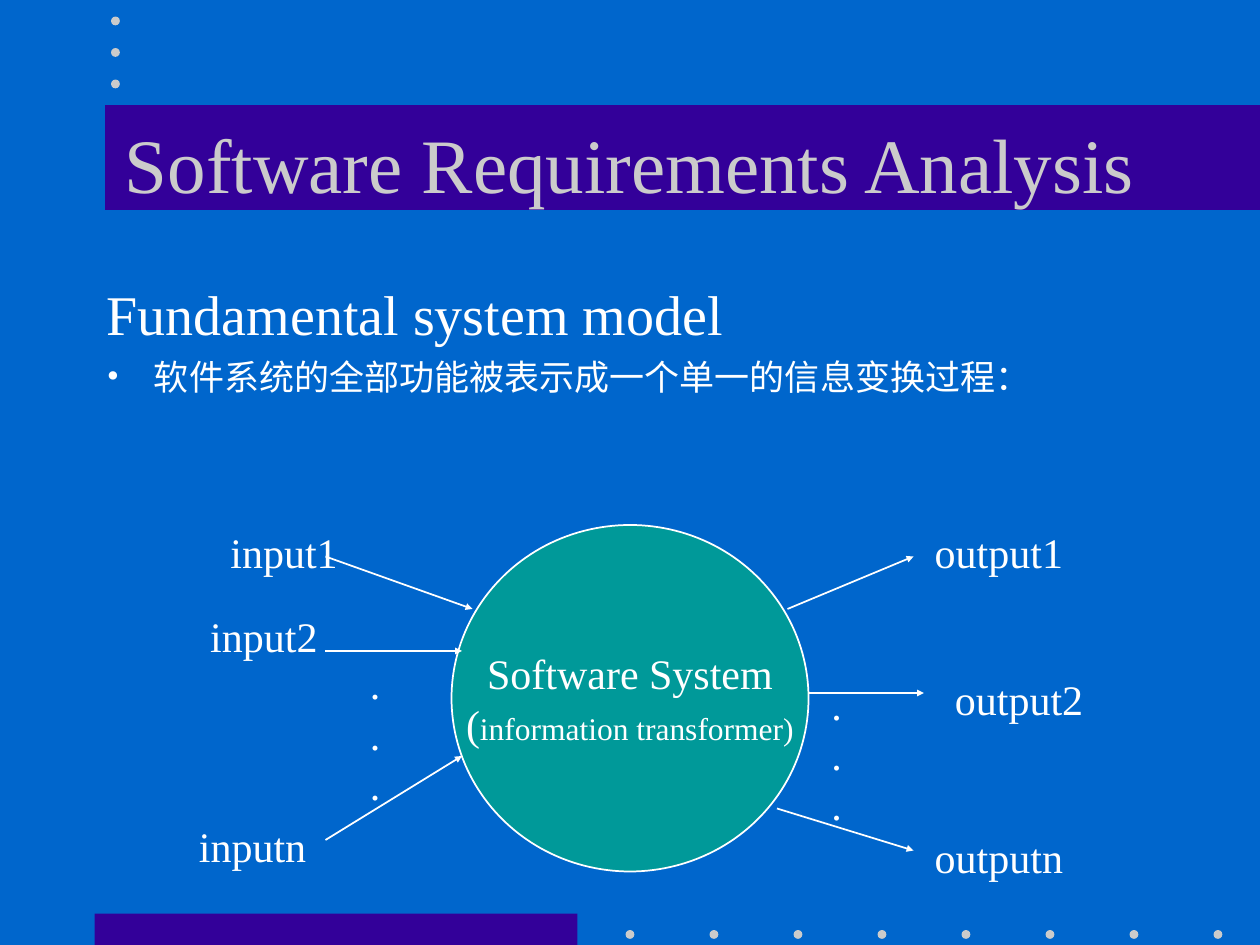
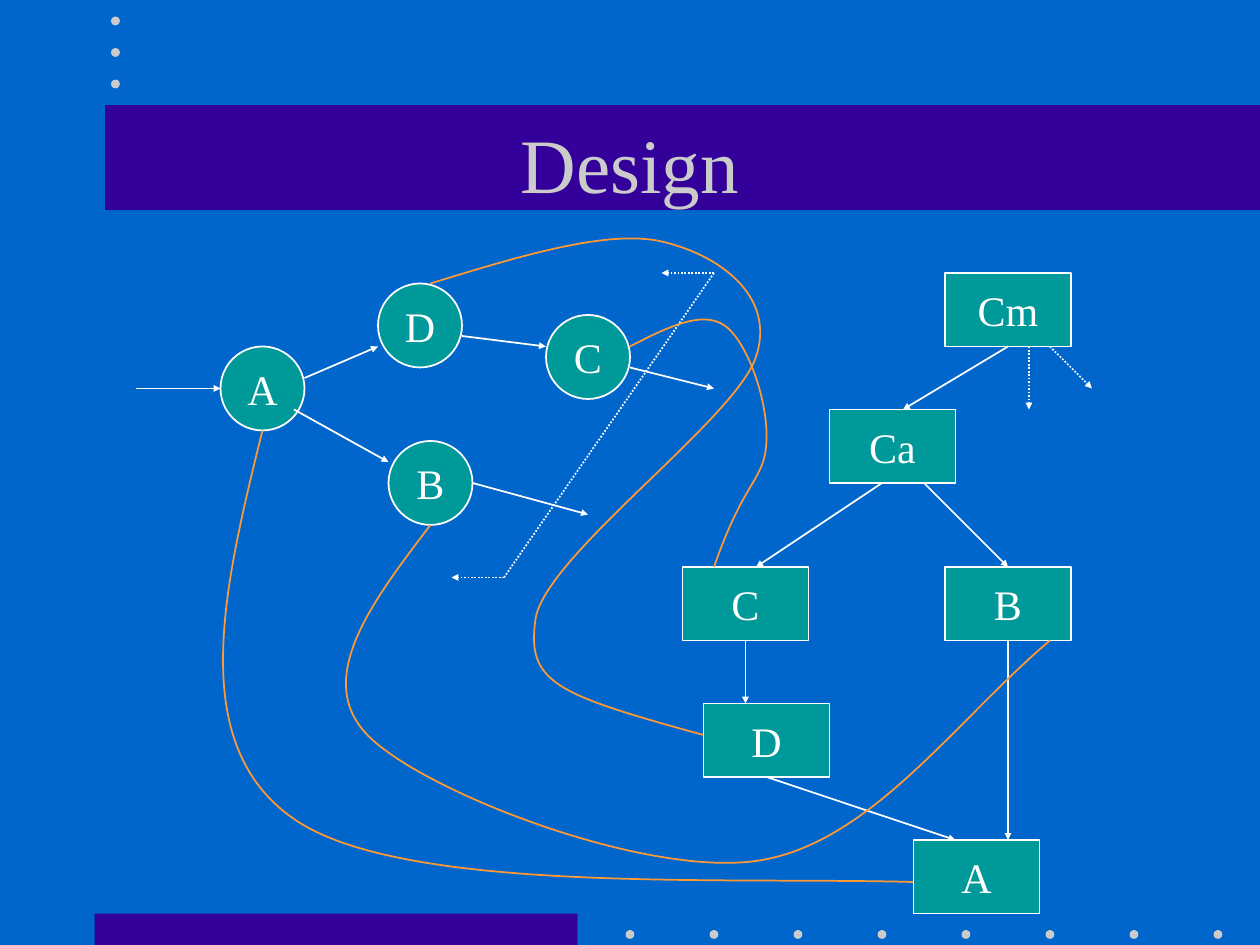
from dataclasses import dataclass

from lxml import etree
from pptx import Presentation
from pptx.dml.color import RGBColor
from pptx.enum.dml import MSO_LINE
from pptx.enum.shapes import MSO_CONNECTOR, MSO_SHAPE
from pptx.enum.text import MSO_ANCHOR, MSO_AUTO_SIZE, PP_ALIGN
from pptx.oxml.ns import qn
from pptx.util import Cm, Pt

RECT, OVAL = MSO_SHAPE.RECTANGLE, MSO_SHAPE.OVAL
STRAIGHT = MSO_CONNECTOR.STRAIGHT
DOTTED = MSO_LINE.ROUND_DOT
CENTER, LEFT = PP_ALIGN.CENTER, PP_ALIGN.LEFT
TOP, MIDDLE = MSO_ANCHOR.TOP, MSO_ANCHOR.MIDDLE
FIT_TEXT = MSO_AUTO_SIZE.SHAPE_TO_FIT_TEXT


@dataclass(frozen=True)
class Theme:
    background = RGBColor(0x00, 0x66, 0xCC)
    band = RGBColor(0x33, 0x00, 0x99)
    title = RGBColor(0xCB, 0xCB, 0xCB)
    node = RGBColor(0x00, 0x99, 0x99)
    text = RGBColor(0xFF, 0xFF, 0xFF)
    mapping = RGBColor(0xFF, 0x99, 0x33)
    font = "Times New Roman"
    title_size = Pt(44)
    heading_size = Pt(32)
    label_size = Pt(24)
    bullet_size = Pt(20)
    note_size = Pt(18)
    line_width = Pt(1)


THEME = Theme()
DOT = 0.84


def grid(steps):
    """Length of a number of grid steps, twelve to the inch."""
    return Cm(steps * 2.54 / 12)


def style(paragraph, size, color=THEME.text, align=LEFT):
    paragraph.alignment = align
    font = paragraph.font
    font.name, font.size, font.color.rgb = THEME.font, size, color


def add_paragraphs(frame, lines, size, color=THEME.text, align=LEFT):
    for index, line in enumerate(lines):
        paragraph = frame.add_paragraph() if index else frame.paragraphs[0]
        paragraph.text = line
        style(paragraph, size, color, align)


def text_box(slide, area, anchor=TOP, wrap=True):
    frame = slide.shapes.add_textbox(*map(grid, area)).text_frame
    frame.word_wrap = wrap
    frame.vertical_anchor = anchor
    return frame


def label(slide, left, top, width, lines, height=6):
    frame = text_box(slide, (left, top, width, height), wrap=False)
    frame.auto_size = FIT_TEXT
    add_paragraphs(frame, lines, THEME.label_size)


def solid(slide, kind, area, color):
    """Filled shape without outline."""
    shape = slide.shapes.add_shape(kind, *map(grid, area))
    shape.shadow.inherit = False
    shape.fill.solid()
    shape.fill.fore_color.rgb = color
    shape.line.fill.background()
    return shape


def node(slide, kind, area, lines):
    shape = solid(slide, kind, area, THEME.node)
    shape.line.color.rgb = THEME.text
    shape.line.width = THEME.line_width
    frame = shape.text_frame
    frame.word_wrap = False
    frame.vertical_anchor = MIDDLE
    add_paragraphs(frame, lines, THEME.label_size, align=CENTER)
    return frame


def connect(slide, start, end, dash=None, head=True):
    connector = slide.shapes.add_connector(STRAIGHT, *map(grid, start + end))
    line = connector.line
    line.color.rgb = THEME.text
    line.width = THEME.line_width
    if dash is not None:
        line.dash_style = dash
    if head:
        etree.SubElement(line._get_or_add_ln(), qn("a:tailEnd"),
                         type="triangle", w="sm", len="sm")
    etree.SubElement(connector._element.spPr, qn("a:effectLst"))


def curve_outline(knots, last_handle):
    """Knots and handles of a smooth curve; inner handles follow the neighbouring knots."""
    slopes = [((c[0] - a[0]) / 6, (c[1] - a[1]) / 6)
              for a, c in zip(knots, knots[2:])]
    arriving = [(x - dx, y - dy) for (x, y), (dx, dy) in zip(knots[1:], slopes)]
    leaving = [(x + dx, y + dy) for (x, y), (dx, dy) in zip(knots[1:], slopes)]
    first_handle = tuple((a + b) / 2 for a, b in zip(knots[0], arriving[0]))
    segments = zip([first_handle] + leaving, arriving + [last_handle], knots[1:])
    return [knots[0]] + [point for segment in segments for point in segment]


def bend(freeform):
    """Turn every three straight segments into one cubic Bézier segment."""
    segments = list(freeform._element.iter(qn("a:lnTo")))
    for cubic, *others in zip(segments[::3], segments[1::3], segments[2::3]):
        cubic.tag = qn("a:cubicBezTo")
        for other in others:
            cubic.append(other[0])
            other.getparent().remove(other)


def mapping_curve(slide, knots, last_handle):
    points = [(grid(x), grid(y)) for x, y in curve_outline(knots, last_handle)]
    builder = slide.shapes.build_freeform(*points[0])
    builder.add_line_segments(points[1:], close=False)
    curve = builder.convert_to_shape()
    bend(curve)
    curve.shadow.inherit = False
    curve.fill.background()
    curve.line.color.rgb = THEME.mapping
    curve.line.width = THEME.line_width


def themed_slide(prs, title):
    """Blank slide with bands, dots and title."""
    slide = prs.slides.add_slide(prs.slide_layouts[6])
    solid(slide, RECT, (9, 87, 46, 3), THEME.band)
    footer_dots = [(60 + 8 * i, 89) for i in range(8)]
    header_dots = [(11, 2 + 3 * i) for i in range(3)]
    solid(slide, RECT, (10, 10, 110, 10), THEME.band)
    for x, y in footer_dots + header_dots:
        solid(slide, OVAL, (x - DOT / 2, y - DOT / 2, DOT, DOT), THEME.title)
    frame = text_box(slide, (9, 8, 102, 15), MIDDLE)
    add_paragraphs(frame, [title], THEME.title_size, THEME.title, CENTER)
    return slide


def system_model_text(slide):
    frame = text_box(slide, (9, 26, 102, 54))
    heading = frame.paragraphs[0]
    heading.text = "Fundamental system model"
    style(heading, THEME.heading_size)
    point = frame.add_paragraph()
    point.text = "软件系统的全部功能被表示成一个单一的信息变换过程："
    point.space_before = Pt(5)
    properties = point._p.get_or_add_pPr()
    properties.set("marL", str(Cm(0.95)))
    properties.set("indent", str(-Cm(0.95)))
    etree.SubElement(properties, qn("a:buFont"), typeface=THEME.font)
    etree.SubElement(properties, qn("a:buChar"), char="•")
    style(point, THEME.bullet_size)


def requirements_slide(prs):
    slide = themed_slide(prs, "Software Requirements Analysis")
    system_model_text(slide)

    system = node(slide, OVAL, (43, 50, 34, 33), ["Software System", "("])
    transformer = system.paragraphs[1].add_run()
    transformer.text = "information transformer)"
    transformer.font.size = THEME.note_size

    flows = [
        ((31, 53), (45, 58)), ((31, 62), (44, 62)), ((31, 80), (44, 72)),
        ((75, 58), (87, 53)), ((77, 66), (88, 66)), ((74, 77), (87, 81)),
    ]
    for start, end in flows:
        connect(slide, start, end)

    inputs = [("input1", 20.76, 49.56), ("input2", 18.84, 57.6), ("inputn", 17.76, 77.55)]
    outputs = [("output1", 87.84, 49.56), ("output2", 89.76, 63.6), ("outputn", 87.84, 78.6)]
    for names, width in ((inputs, 12.6), (outputs, 14.64)):
        for name, left, top in names:
            label(slide, left, top, width, [name])
    for left, top in ((34.05, 62.05), (78, 64)):
        label(slide, left, top, 3.36, ["."] * 3, height=15.6)


def data_flow(slide):
    for name, left, top in (("B", 37, 42), ("C", 52, 30), ("D", 36, 27), ("A", 21, 33)):
        node(slide, OVAL, (left, top, 8, 8), [name])
    flows = [
        ((13, 37), (21, 37)), ((29, 36), (36, 33)), ((28, 39), (37, 44)),
        ((45, 46), (56, 49)), ((44, 32), (52, 33)), ((60, 35), (68, 37)),
    ]
    for start, end in flows:
        connect(slide, start, end)
    boundary_top, boundary_bottom = (68, 26), (48, 55)
    connect(slide, boundary_top, (63, 26), DOTTED)
    connect(slide, boundary_top, boundary_bottom, DOTTED, head=False)
    connect(slide, boundary_bottom, (43, 55), DOTTED)


def module_tree(slide):
    modules = [("Cm", 90, 26), ("Ca", 79, 39), ("B", 90, 54),
               ("C", 65, 54), ("A", 87, 80), ("D", 67, 67)]
    for name, left, top in modules:
        node(slide, RECT, (left, top, 12, 7), [name])
    calls = [
        ((96, 33), (86, 39)), ((84, 46), (72, 54)), ((88, 46), (96, 54)),
        ((71, 61), (71, 67)), ((73, 74), (91, 80)), ((96, 61), (96, 80)),
    ]
    for start, end in calls:
        connect(slide, start, end)
    for start, end in (((98, 33), (98, 39)), ((100, 33), (104, 37))):
        connect(slide, start, end, DOTTED)


def design_slide(prs):
    slide = themed_slide(prs, "Design")
    data_flow(slide)
    module_tree(slide)
    process_to_module = [
        ([(25, 41), (28, 78), (87, 84)], (68.6, 83.5)),
        ([(41, 50), (35, 70), (72, 82), (100, 61)], (91, 68.6)),
        ([(41, 27), (63, 23), (72, 34), (51, 59), (67, 70)], (52.8, 66.1)),
        ([(60, 33), (69, 31), (73, 42), (68, 54)], (71, 45.4)),
    ]
    for knots, last_handle in process_to_module:
        mapping_curve(slide, knots, last_handle)


def main():
    prs = Presentation()
    prs.slide_width, prs.slide_height = Cm(25.4), Cm(19.05)
    backdrop = prs.slide_master.background.fill
    backdrop.solid()
    backdrop.fore_color.rgb = THEME.background
    requirements_slide(prs)
    design_slide(prs)
    prs.save("out.pptx")


if __name__ == "__main__":
    main()
